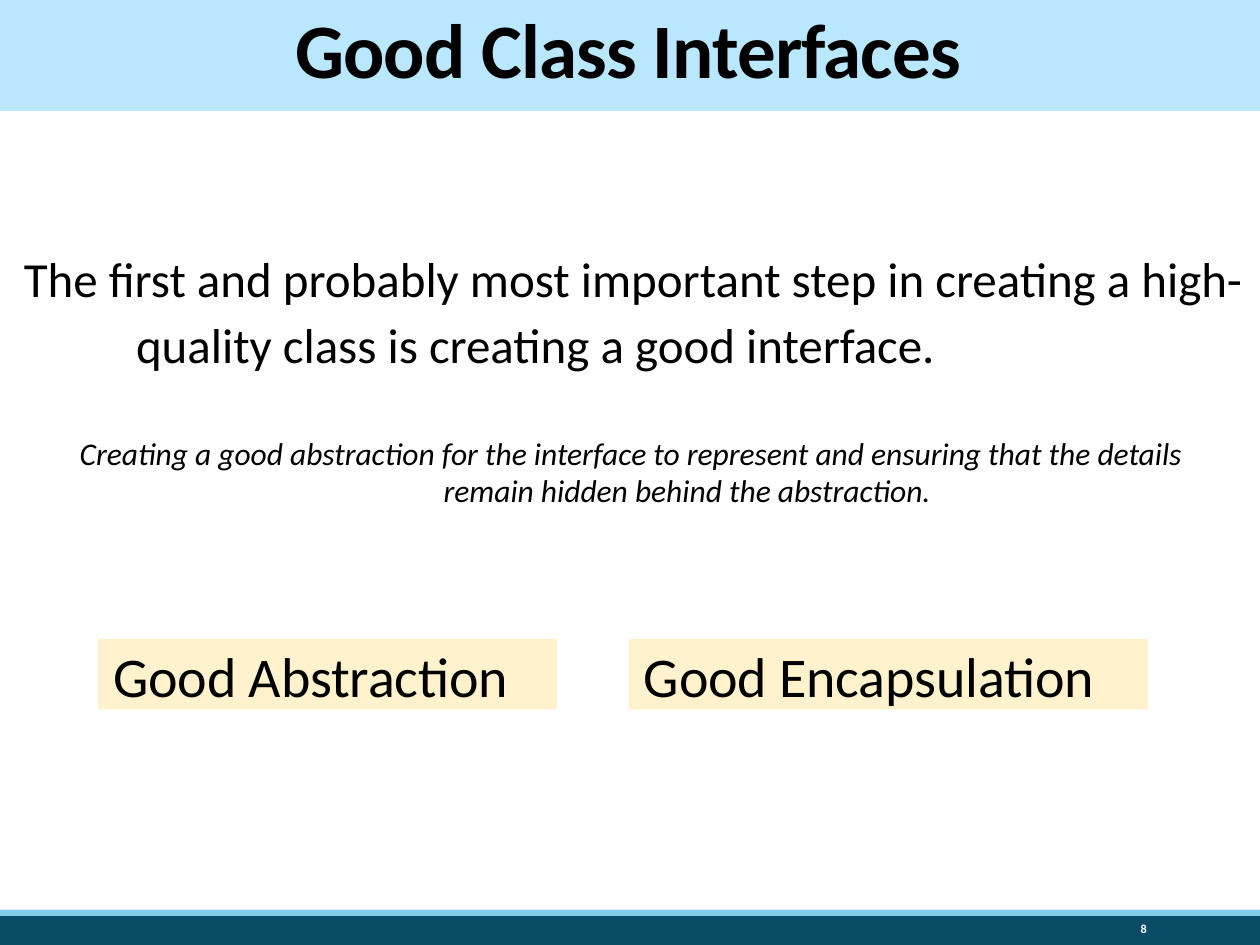
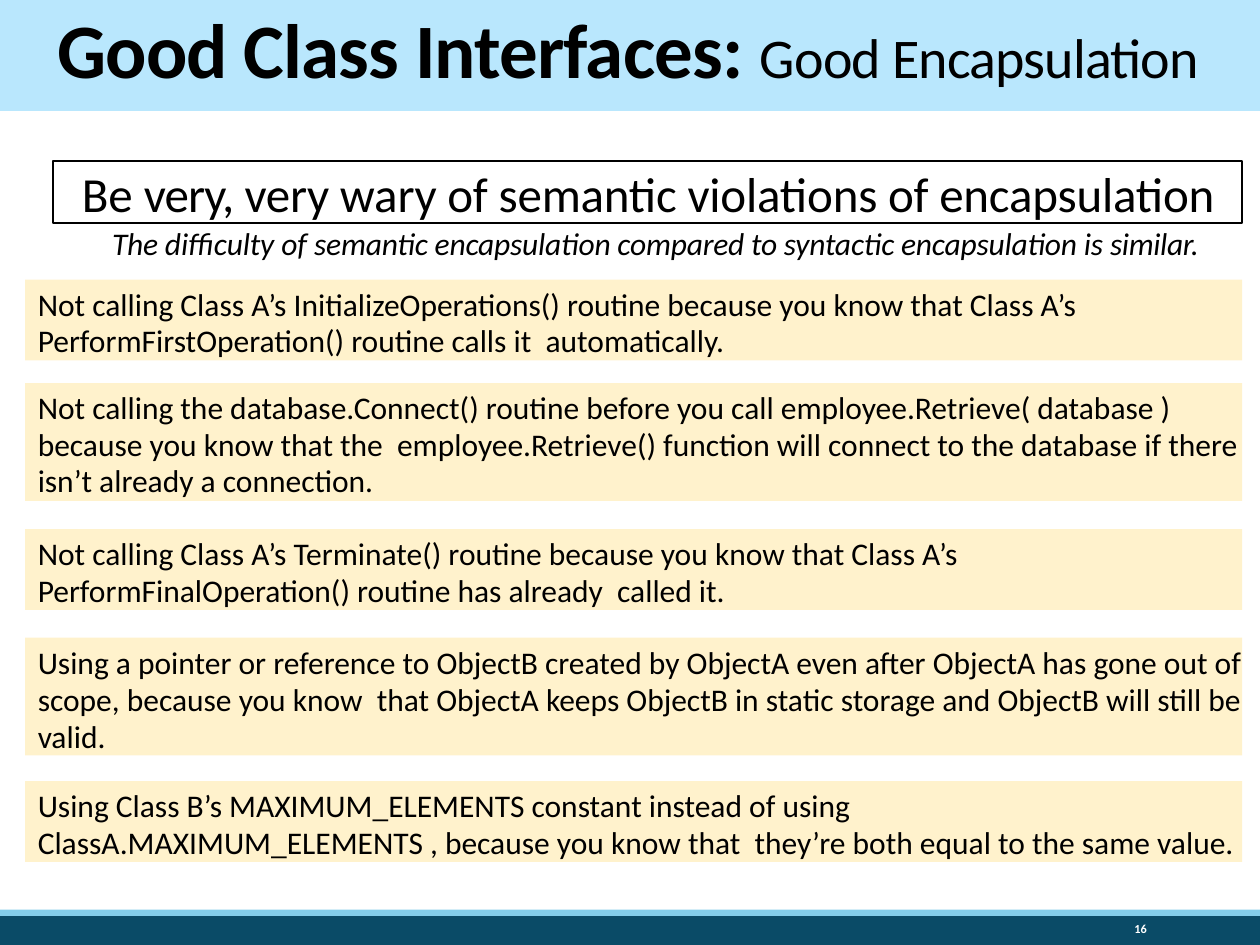
import pptx
import pptx.dml.color
import pptx.enum.shapes
import pptx.enum.text
import pptx.util

CELL = 0.1
FULL = (0, 0, 100, 75)
HEAD = (-0.3, -0.1, 100.3, 8.9)
FOOT = (0, 72.2, 100, 2.8)
BODY = (0, 8.8, 100, 63.4)
FONT = "Calibri"
INK, WHITE = "000000", "FFFFFF"
SKY, AQUA, NAVY, CREAM = "B9E7FD", "84CDEA", "0A4B67", "FFF2CC"
ALIGN = pptx.enum.text.PP_ALIGN
ANCHOR = pptx.enum.text.MSO_ANCHOR

CASES = [
    (13.4, 2, 20.9, "Not calling Class A’s InitializeOperations() routine because you know that "
     "Class A’s PerformFirstOperation() routine calls it  automatically."),
    (21.6, 3, 20.9, "Not calling the database.Connect() routine before you call "
     "employee.Retrieve( database ) because you know that the  employee.Retrieve() "
     "function will connect to the database if there isn’t already a connection."),
    (33.2, 2, 21.1, "Not calling Class A’s Terminate() routine because you know that "
     "Class A’s PerformFinalOperation() routine has already  called it."),
    (41.8, 3, 21.1, "Using a pointer or reference to ObjectB created by ObjectA even after "
     "ObjectA has gone out of scope, because you know  that ObjectA keeps ObjectB in "
     "static storage and ObjectB will still be valid."),
    (53.2, 2, 21.1, "Using Class B’s MAXIMUM_ELEMENTS constant instead of using "
     "ClassA.MAXIMUM_ELEMENTS , because you know that  they’re both equal to the "
     "same value."),
]


def color(code):
    """Turn a hex string into a colour."""
    return pptx.dml.color.RGBColor.from_string(code)


def inch(cells):
    """Turn grid cells into a length."""
    return pptx.util.Inches(cells * CELL)


def inner(box, left, top, width, height):
    """Give the box of a part that is placed inside another box."""
    return box[0] + left, box[1] + top, width, height


def rect(slide, box, fill=None, line=None):
    """Draw a rectangle with an optional fill and outline."""
    kind = pptx.enum.shapes.MSO_SHAPE.RECTANGLE
    shape = slide.shapes.add_shape(kind, *map(inch, box))
    shape.shadow.inherit = False
    if fill:
        shape.fill.solid()
        shape.fill.fore_color.rgb = color(fill)
    else:
        shape.fill.background()
    if line:
        shape.line.color.rgb = color(line)
        shape.line.width = pptx.util.Pt(1)
    else:
        shape.line.fill.background()
    return shape


def label(slide, box):
    """Add an empty text box."""
    return slide.shapes.add_textbox(*map(inch, box))


def write(shape, runs, size, align=ALIGN.LEFT, anchor=ANCHOR.TOP, pad=None,
          margin=0, hang=0, line=None, ink=INK, bold=False, italic=False):
    """Write one paragraph from pairs of text and letter spacing."""
    frame = shape.text_frame
    frame.word_wrap = True
    frame.vertical_anchor = anchor
    if pad is not None:
        frame.margin_left = frame.margin_right = frame.margin_bottom = 0
        frame.margin_top = inch(pad)
    para = frame.paragraphs[0]
    para.alignment = align
    if line:
        para.line_spacing = line
    props = para._p.get_or_add_pPr()
    props.set("marL", str(inch(margin)))
    props.set("indent", str(inch(hang)))
    for text, space in runs:
        run = para.add_run()
        run.text = text
        font = run.font
        font.name, font.size = FONT, pptx.util.Pt(size)
        font.bold, font.italic = bold, italic
        font.color.rgb = color(ink)
        run._r.get_or_add_rPr().set("spc", str(round(space * 100)))
    return para


def header(slide, box, title, topic=None):
    """Draw the title band, with a lighter topic after the title."""
    runs = [(title, -0.5)] + ([(topic, -0.5)] if topic else [])
    para = write(rect(slide, box, SKY), runs, 44, ALIGN.CENTER, ANCHOR.MIDDLE,
                 line=0.85, bold=True)
    for run in para.runs[1:]:
        run.font.size, run.font.bold = pptx.util.Pt(32), False


def footer(slide, box, number):
    """Draw the bottom bands and the slide number."""
    rect(slide, inner(box, 0, 0.5, box[2], box[3] - 0.5), NAVY)
    rect(slide, inner(box, 0, 0, box[2], 0.5), AQUA)
    write(label(slide, inner(box, 81.2, 0.5, 10.8, 2.1)), [(str(number), 0)], 7,
          ALIGN.RIGHT, ANCHOR.MIDDLE, line=0.9, ink=WHITE, bold=True)


def intro(slide, box):
    """Place the lead sentence, its gloss and the two goals."""
    write(label(slide, inner(box, 1.7, 9.9, 101.7, 15.4)),
          [("The first and probably most important step in creating a high-quality "
            "class is creating a good interface.", 0)],
          28, pad=0.4, margin=9.1, hang=-8.9, line=pptx.util.Pt(37.9))
    write(label(slide, inner(box, 2.9, 25.2, 94.2, 6.9)),
          [("Creating a good abstraction for the interface to represent and ensuring "
            "that the details remain hidden behind the abstraction.", 0)],
          18, ALIGN.CENTER, margin=9.1, hang=-8.9, line=pptx.util.Pt(21.1), italic=True)
    for left, width, goal in ((7.8, 36.4, "Abstraction"), (49.9, 41.2, "Encapsulation")):
        write(rect(slide, inner(box, left, 41.9, width, 5.6), CREAM),
              [("Good " + goal, -0.1)], 32, pad=0.2, margin=1.2)


def warning(slide, box):
    """Place the framed warning, its remark and the list of cases."""
    write(rect(slide, inner(box, 4.2, 4, 94.4, 4.9), line=INK),
          [("Be ", 0), ("very, ", -0.5),
           ("very wary of semantic violations of encapsulation", -0.1)],
          28, pad=0.2, margin=2.3)
    write(label(slide, inner(box, 8.8, 8.9, 97.5, 3.2)),
          [("The difficulty ", -0.1), ("of ", 0),
           ("semantic encapsulation compared to syntactic encapsulation is ", -0.1),
           ("similar.", -0.2)],
          18, pad=0.1, margin=0.1, italic=True)
    for top, rows, line, text in CASES:
        write(rect(slide, inner(box, 2, top, 96.6, 0.5 + 2.95 * rows), CREAM),
              [(text, 0)], 18, pad=0.5, margin=1, line=pptx.util.Pt(line))


def main():
    """Build both slides and save the deck."""
    deck = pptx.Presentation()
    deck.slide_width, deck.slide_height = inch(FULL[2]), inch(FULL[3])
    pages = [
        (8, intro, ("Good Class Interfaces",)),
        (16, warning, ("Good Class Interfaces: ", "Good Encapsulation")),
    ]
    for number, body, title in pages:
        slide = deck.slides.add_slide(deck.slide_layouts[6])
        footer(slide, FOOT, number)
        header(slide, HEAD, *title)
        body(slide, BODY)
    deck.save("out.pptx")


if __name__ == "__main__":
    main()
